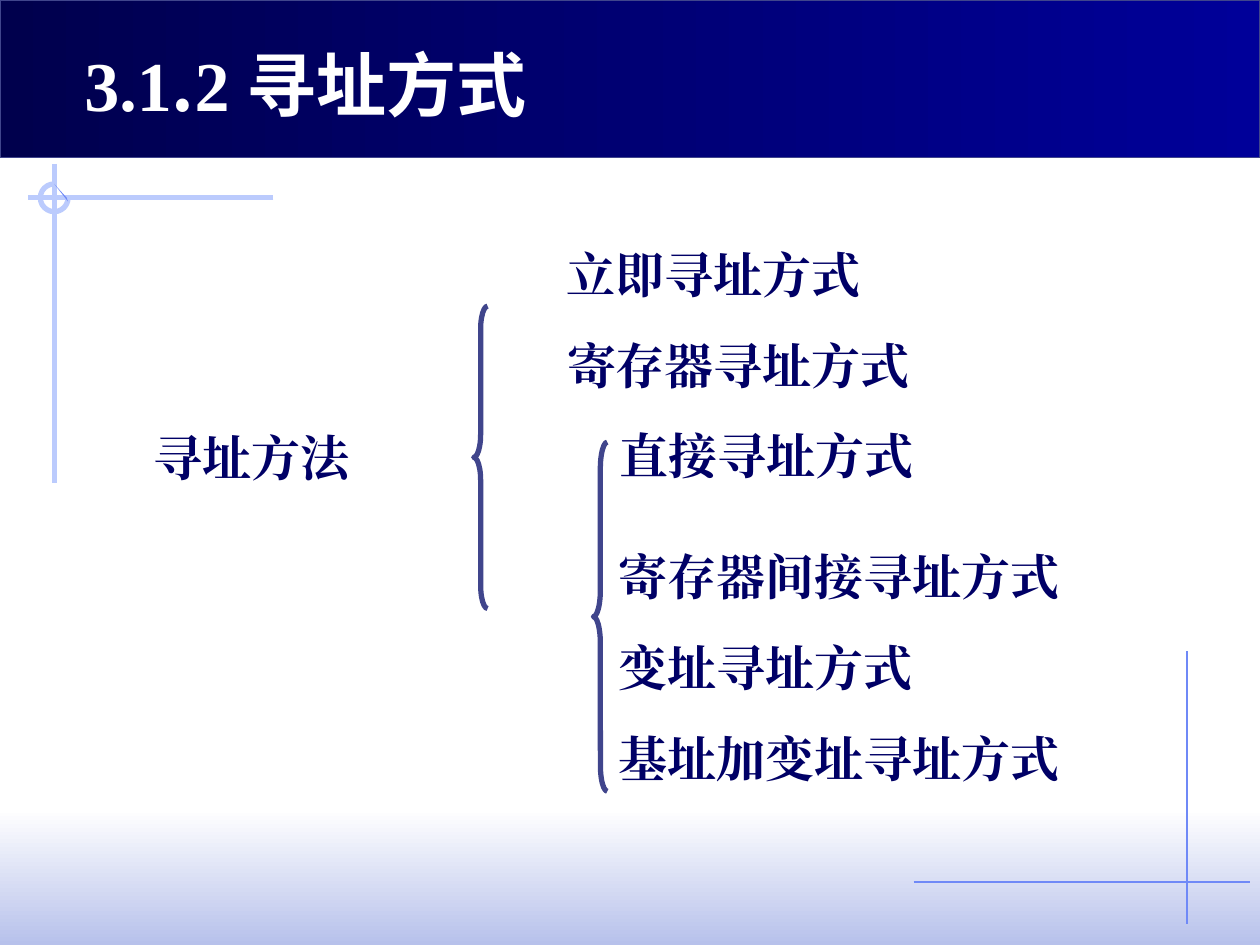
from lxml.etree import SubElement
from pptx import Presentation
from pptx.dml.color import RGBColor
from pptx.enum.shapes import MSO_CONNECTOR, MSO_SHAPE
from pptx.enum.text import MSO_ANCHOR, MSO_AUTO_SIZE, PP_ALIGN
from pptx.oxml.ns import qn
from pptx.util import Inches, Pt

LATIN = "Times New Roman"
CHINESE = "Noto Sans CJK JP"
NAVY, SLATE, PALE, SKY = "000066", "40458C", "BBCBFD", "6F89F7"
CHARACTER_WIDTH, LABEL_HEIGHT = 0.45, 0.47


def color(value):
    return RGBColor.from_string(value)


def add_span(para, text, size, fill, latin=LATIN, chinese=LATIN):
    span = para.add_run()
    span.text = text
    span.font.size = Pt(size)
    span.font.bold = True
    span.font.name = latin
    span.font.color.rgb = color(fill)
    SubElement(span.font._element, qn("a:ea"), typeface=chinese)


def set_line(shape, value, width):
    shape.line.color.rgb = color(value)
    shape.line.width = Pt(width)


def add_line(page, start, end, value, width):
    line = page.shapes.add_connector(
        MSO_CONNECTOR.STRAIGHT, *(Inches(n) for n in (*start, *end)))
    set_line(line, value, width)
    SubElement(line._element.spPr, qn("a:effectLst"))


def add_outline(shapes, kind, box, value, width):
    shape = shapes.add_shape(kind, *(Inches(n) for n in box))
    shape.shadow.inherit = False
    shape.fill.background()
    set_line(shape, value, width)
    return shape


def add_band(page, box, first, last, angle, outline=None):
    band = page.shapes.add_shape(MSO_SHAPE.RECTANGLE, *(Inches(n) for n in box))
    band.shadow.inherit = False
    band.fill.gradient()
    band.fill.gradient_angle = angle
    for stop, value in zip(band.fill.gradient_stops, (first, last)):
        stop.color.rgb = color(value)
    if outline:
        set_line(band, outline, 0.75)
    else:
        band.line.fill.background()


def add_target(page, x, y):
    radius = 0.11
    add_line(page, (x + 1.74, y), (x - 0.21, y), PALE, 3)
    add_line(page, (x, y - 0.27), (x, y + 2.26), PALE, 3)
    ring = add_outline(page.shapes, MSO_SHAPE.ARC,
                       (x - radius, y - radius, 2 * radius, 2 * radius), PALE, 3)
    ring.adjustments[0] = 0
    ring.adjustments[1] = 162
    builder = page.shapes.build_freeform(Inches(x), Inches(y - radius), 1)
    builder.add_line_segments(
        [(Inches(x + 0.1), Inches(y)), (Inches(x + 0.11), Inches(y + 0.03))])
    sliver = builder.convert_to_shape()
    sliver.shadow.inherit = False
    sliver.fill.solid()
    sliver.fill.fore_color.rgb = color(SKY)
    sliver.line.fill.background()


def add_corner_cross(page, x, y):
    add_line(page, (x, y - 1.83), (x, y + 0.33), SKY, 0.75)
    add_line(page, (x - 2.17, y), (x + 0.5, y), SKY, 0.75)


def add_title(page, box):
    title = page.shapes.title
    title.left, title.top, title.width, title.height = (Inches(n) for n in box)
    frame = title.text_frame
    frame.auto_size = MSO_AUTO_SIZE.NONE
    frame.vertical_anchor = MSO_ANCHOR.BOTTOM
    para = frame.paragraphs[0]
    para.alignment = PP_ALIGN.LEFT
    for text, latin in (("3.1", LATIN), (".", CHINESE),
                        ("2 ", LATIN), ("寻址方式", CHINESE)):
        add_span(para, text, 40, "FFFFFF", latin, CHINESE)


def add_label(shapes, text, left, top):
    label = shapes.add_textbox(
        Inches(left), Inches(top),
        Inches(CHARACTER_WIDTH * len(text)), Inches(LABEL_HEIGHT))
    frame = label.text_frame
    frame.margin_left = frame.margin_right = 0
    frame.margin_top = frame.margin_bottom = 0
    frame.word_wrap = True
    frame.auto_size = MSO_AUTO_SIZE.SHAPE_TO_FIT_TEXT
    add_span(frame.paragraphs[0], text, 28, NAVY)


def add_brace(shapes, box, curve):
    brace = add_outline(shapes, MSO_SHAPE.LEFT_BRACE, box, SLATE, 3)
    brace.adjustments[0] = curve
    brace.adjustments[1] = 0.5


def add_tree(page, left, top):
    shapes = page.shapes.add_group_shape().shapes
    step = 0.72
    add_label(shapes, "寻址方法", left, top + 1.45)
    add_brace(shapes, (left + 2.54, top + 0.49, 0.11, 2.4), 1.66)
    for row, text in enumerate(("立即寻址方式", "寄存器寻址方式")):
        add_label(shapes, text, left + 3.28, top + row * step)
    add_label(shapes, "直接寻址方式", left + 3.7, top + 2 * step)
    for row, text in enumerate(
            ("寄存器间接寻址方式", "变址寻址方式", "基址加变址寻址方式")):
        add_label(shapes, text, left + 3.69, top + 2.4 + row * step)
    add_brace(shapes, (left + 3.49, top + 1.57, 0.11, 2.77), 1.91)


def main():
    deck = Presentation()
    deck.slide_width, deck.slide_height = Inches(10), Inches(7.5)
    page = deck.slides.add_slide(deck.slide_layouts[5])
    page.background.fill.solid()
    page.background.fill.fore_color.rgb = color("FFFFFF")
    add_band(page, (0, 6.42, 10, 1.08), "FFFFFF", "B7C1EB", 270)
    add_target(page, 0.43, 1.57)
    add_band(page, (0, 0, 10, 1.25), "00004D", "000099", 0, SLATE)
    add_corner_cross(page, 9.42, 7)
    title = page.shapes.title._element
    title.getparent().append(title)
    add_title(page, (0.57, 0.13, 5.53, 0.92))
    add_tree(page, 1.22, 1.94)
    deck.save("out.pptx")


if __name__ == "__main__":
    main()
